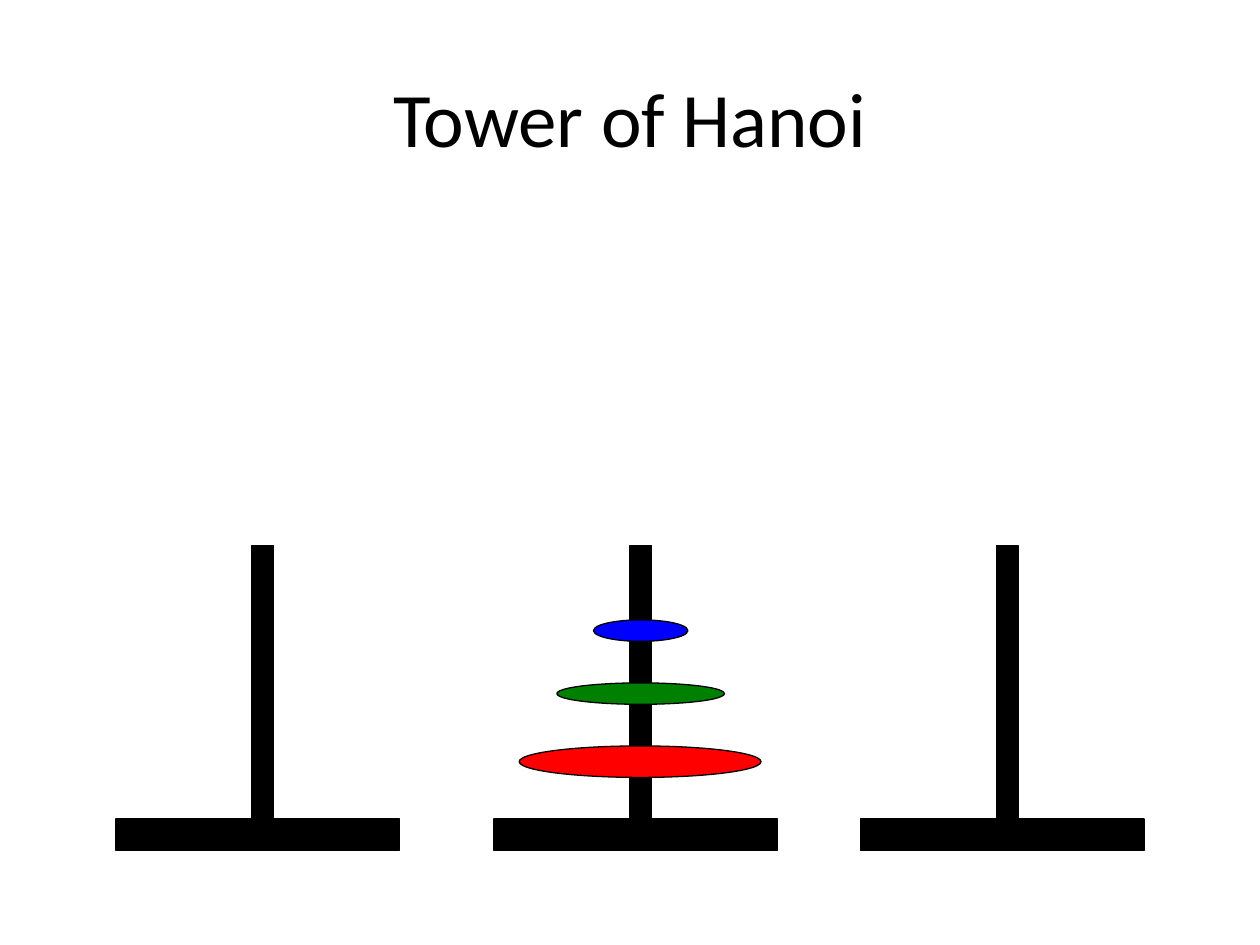
from dataclasses import dataclass

from pptx import Presentation
from pptx.dml.color import RGBColor
from pptx.enum.shapes import MSO_SHAPE as Kind
from pptx.enum.text import MSO_ANCHOR as Anchor, PP_ALIGN as Align
from pptx.util import Inches, Pt

BLACK = "000000"


@dataclass
class Disk:
    """A coloured disk on the middle peg."""
    left: float
    top: float
    width: float
    height: float
    fill: str


DISKS = [
    Disk(4.12, 5.92, 1.92, 0.25, "FF0000"),
    Disk(4.42, 5.42, 1.33, 0.17, "008000"),
    Disk(4.71, 4.92, 0.75, 0.17, "0000FF"),
]
TOWERS = [0.92, 3.92, 6.83]


def color(code: str) -> RGBColor:
    """Turn a hex string into a colour."""
    return RGBColor.from_string(code)


def draw(shapes, kind: Kind, left: float, top: float, width: float,
         height: float, fill: str) -> None:
    """Draw a filled shape with a thin black outline."""
    shape = shapes.add_shape(kind, Inches(left), Inches(top),
                             Inches(width), Inches(height))
    shape.shadow.inherit = False
    shape.fill.solid()
    shape.fill.fore_color.rgb = color(fill)
    shape.line.color.rgb = color(BLACK)
    shape.line.width = Pt(0.75)


def tower(shapes, left: float) -> None:
    """Draw a grouped base and peg."""
    group = shapes.add_group_shape()
    draw(group.shapes, Kind.RECTANGLE, left, 6.5, 2.25, 0.25, BLACK)
    draw(group.shapes, Kind.RECTANGLE, left + 1.08, 4.33, 0.17, 2.17, BLACK)


def title(shapes, text: str) -> None:
    """Write the centred slide title."""
    box = shapes.add_textbox(Inches(0.5), Inches(0.3), Inches(9), Inches(1.25))
    frame = box.text_frame
    frame.word_wrap = True
    frame.vertical_anchor = Anchor.MIDDLE
    para = frame.paragraphs[0]
    para.text = text
    para.alignment = Align.CENTER
    para.font.name = "Calibri"
    para.font.size = Pt(44)
    para.font.color.rgb = color(BLACK)


def main() -> None:
    """Build and save the slide."""
    deck = Presentation()
    deck.slide_width, deck.slide_height = Inches(10), Inches(7.5)
    shapes = deck.slides.add_slide(deck.slide_layouts[6]).shapes
    title(shapes, "Tower of Hanoi")
    for left in TOWERS:
        tower(shapes, left)
    for disk in DISKS:
        draw(shapes, Kind.OVAL, disk.left, disk.top, disk.width, disk.height,
             disk.fill)
    deck.save("out.pptx")


main()
